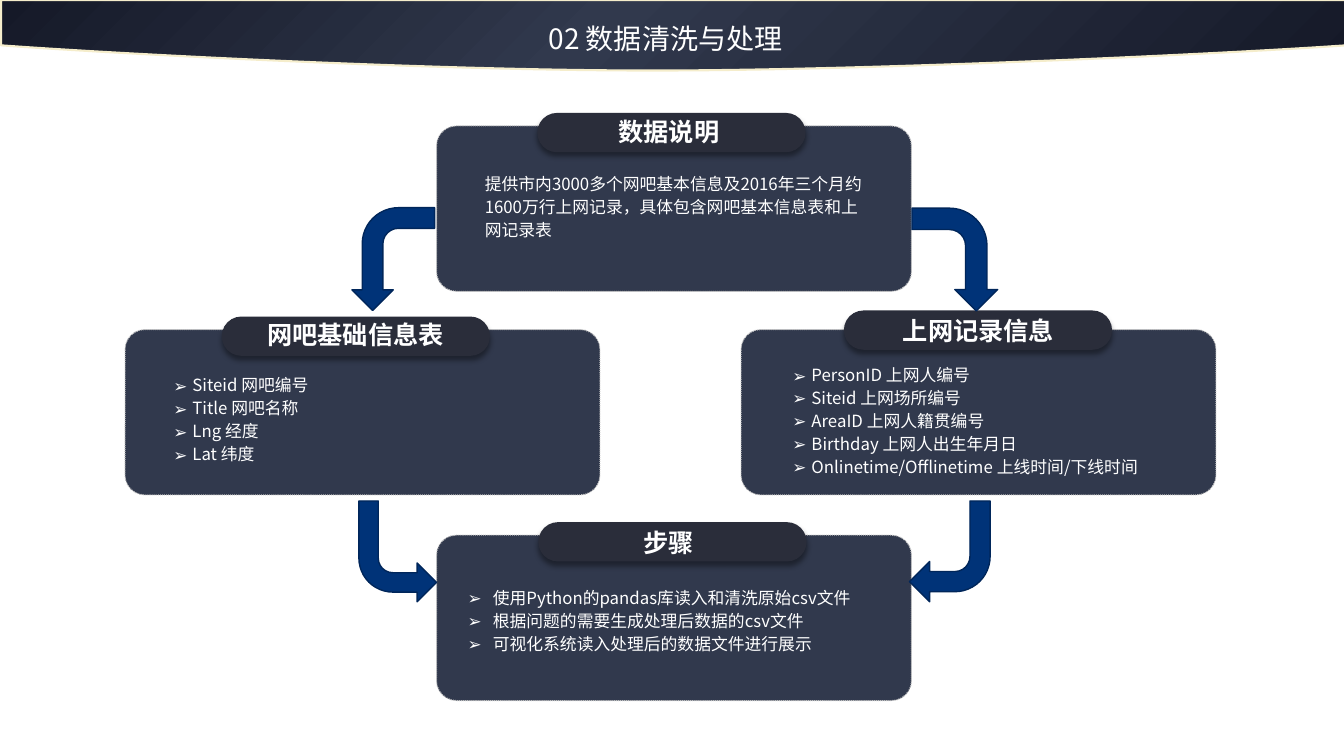
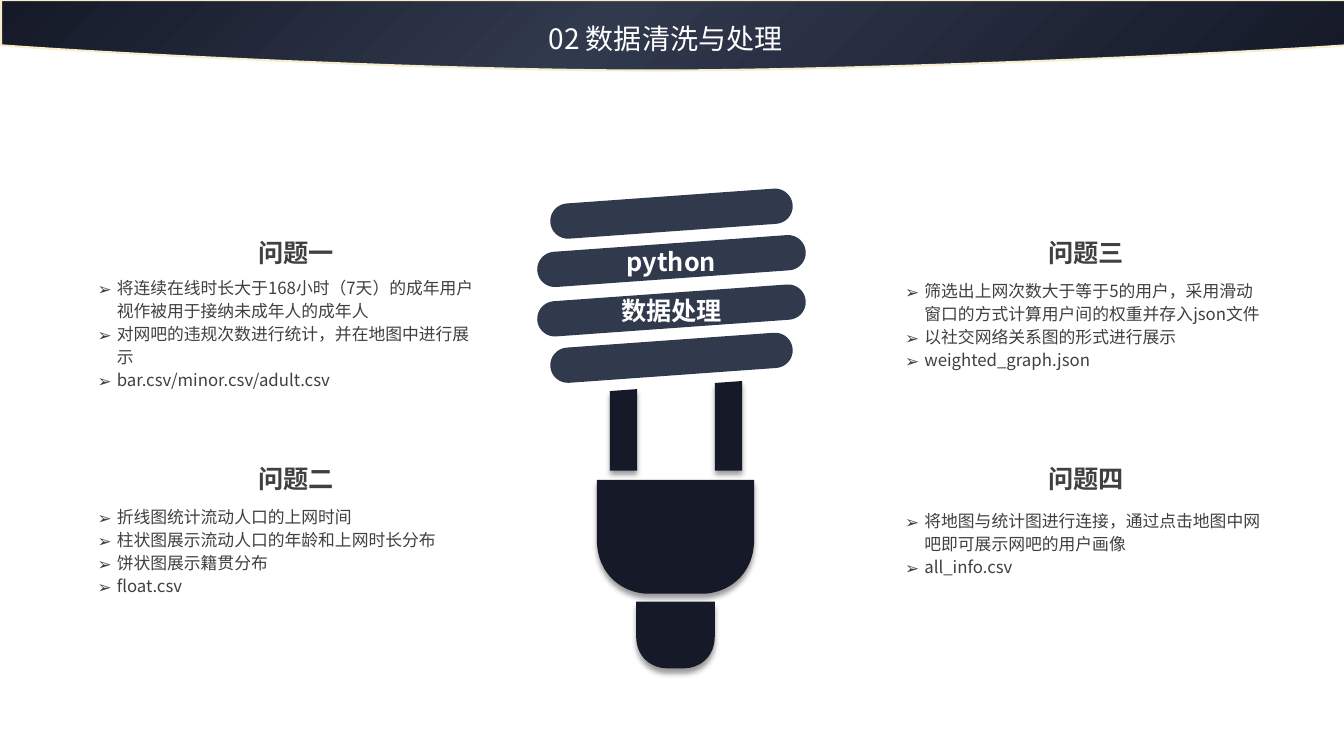
"""Build two slides on data cleaning: a table flow and a lamp of four questions."""
from copy import deepcopy
from dataclasses import dataclass
from math import cos, radians, sin

from lxml.etree import SubElement
from pptx import Presentation
from pptx.dml.color import RGBColor
from pptx.enum.dml import MSO_LINE
from pptx.enum.shapes import MSO_SHAPE
from pptx.enum.text import MSO_ANCHOR, MSO_AUTO_SIZE, PP_ALIGN
from pptx.oxml.ns import qn
from pptx.util import Pt

EMU_PER_PX = 9144
TITLE_ONLY = 5
ROUNDED = MSO_SHAPE.ROUNDED_RECTANGLE
BENT_ARROW = MSO_SHAPE.BENT_ARROW
DOTTED = MSO_LINE.ROUND_DOT
LEFT, CENTER = PP_ALIGN.LEFT, PP_ALIGN.CENTER
TOP, MIDDLE = MSO_ANCHOR.TOP, MSO_ANCHOR.MIDDLE
NO_FIT = MSO_AUTO_SIZE.NONE


@dataclass(frozen=True)
class Theme:
    """Colours, font and type sizes of both slides."""
    font: str = "Noto Sans CJK SC"
    title_size: int = 20
    heading_size: int = 18
    body_size: int = 12
    line_spacing: float = 1.14
    white: str = "FFFFFF"
    ink: str = "404040"
    night: str = "151928"
    slate: str = "31394D"
    pill: str = "2A2D3A"
    card_line: str = "BFBFBF"
    band_line: str = "F5EDCB"
    arrow: str = "003378"
    arrow_line: str = "00265A"


THEME = Theme()
SLIDE_TITLE = "02 数据清洗与处理"

CARDS = [
    ((433, 125), (100, -13), (118, -14), (38, 40, 395, 3), 0, "数据说明",
     ["提供市内3000多个网吧基本信息及2016年三个月约1600万行上网记录，具体包含网吧基本信息表和上网记录表"]),
    ((124, 327), (96, -13), (116, -15), (38, 37, 395, 4), 19, "网吧基础信息表",
     ["Siteid 网吧编号", "Title 网吧名称", "Lng 经度", "Lat 纬度"]),
    ((433, 531), (101, -13), (118, -13), (21, 44, 427, 3), 25, "步骤",
     ["使用Python的pandas库读入和清洗原始csv文件", "根据问题的需要生成处理后数据的csv文件",
      "可视化系统读入处理后的数据文件进行展示"]),
    ((735, 327), (102, -19), (123, -19), (41, 27, 395, 5), 19, "上网记录信息",
     ["PersonID 上网人编号", "Siteid 上网场所编号", "AreaID 上网人籍贯编号",
      "Birthday 上网人出生年月日", "Onlinetime/Offlinetime 上线时间/下线时间"]),
]
ARROWS = [
    ((896, 215, 102, 85), 90, None),
    ((339, 216, 102, 82), 90, "flipV"),
    ((356, 497, 77, 100), 180, "flipH"),
    ((902, 497, 80, 100), 180, None),
]
TOPICS = [
    ((87, 231), 90, (37, 396, 5), "问题一",
     ["将连续在线时长大于168小时（7天）的成年用户视作被用于接纳未成年人的成年人",
      "对网吧的违规次数进行统计，并在地图中进行展示", "bar.csv/minor.csv/adult.csv"]),
    ((87, 455), 90, (40, 374, 4), "问题二",
     ["折线图统计流动人口的上网时间", "柱状图展示流动人口的年龄和上网时长分布",
      "饼状图展示籍贯分布", "float.csv"]),
    ((888, 231), 73, (40, 378, 4), "问题三",
     ["筛选出上网次数大于等于5的用户，采用滑动窗口的方式计算用户间的权重并存入json文件",
      "以社交网络关系图的形式进行展示", "weighted_graph.json"]),
    ((888, 455), 73, (44, 374, 3), "问题四",
     ["将地图与统计图进行连接，通过点击地图中网吧即可展示网吧的用户画像", "all_info.csv"]),
]
LAMP_BARS = [(241, 25, ""), (267, 72, "python"), (267, 121, "数据处理"), (241, 168, "")]


def px(*lengths):
    """Turn px into a list of EMU."""
    return [round(length * EMU_PER_PX) for length in lengths]


def color(code):
    """Return the colour of a hex code."""
    return RGBColor.from_string(code)


def paint(shape, fill, line=None, width=1.0):
    """Give a shape a flat fill and a line, without a shadow."""
    shape.shadow.inherit = False
    shape.fill.solid()
    shape.fill.fore_color.rgb = color(fill)
    if line is None:
        shape.line.fill.background()
    else:
        shape.line.color.rgb = color(line)
        shape.line.width = Pt(width)
    return shape


def drop_shadow(shape):
    """Add a soft shadow below a painted shape."""
    effects = shape.element.spPr.find(qn("a:effectLst"))
    outer = SubElement(effects, qn("a:outerShdw"), blurRad=str(Pt(4)),
                       dist=str(Pt(3)), dir="5400000", algn="t", rotWithShape="0")
    black = SubElement(outer, qn("a:srgbClr"), val="000000")
    SubElement(black, qn("a:alpha"), val="40000")


def format_paragraph(paragraph, size, code, bold=False, align=LEFT):
    """Set the font and alignment of a paragraph, East Asian font included."""
    paragraph.alignment = align
    font = paragraph.font
    font.size, font.bold, font.name = Pt(size), bold, THEME.font
    font.color.rgb = color(code)
    defaults = paragraph._p.pPr.find(qn("a:defRPr"))
    SubElement(defaults, qn("a:ea"), typeface=THEME.font)


def add_bullet(paragraph, indent):
    """Give a formatted paragraph an arrow bullet and a hanging indent."""
    properties = paragraph._p.pPr
    hang = px(indent)[0]
    properties.set("marL", str(hang))
    properties.set("indent", str(-hang))
    defaults = properties.find(qn("a:defRPr"))
    defaults.addprevious(SubElement(properties, qn("a:buFont"), typeface=THEME.font))
    defaults.addprevious(SubElement(properties, qn("a:buChar"), char="➢"))


def add_body(slide, left, top, width, rows, lines, code, indent):
    """Place body lines in a text box, bulleted where there is an indent."""
    box = slide.shapes.add_textbox(*px(left, top, width, 10 + 23 * rows))
    frame = box.text_frame
    frame.word_wrap = True
    frame.text = "\n".join(lines)
    for paragraph in frame.paragraphs:
        format_paragraph(paragraph, THEME.body_size, code)
        paragraph.line_spacing = THEME.line_spacing
        if indent:
            add_bullet(paragraph, indent)


def write_heading(shape, text, code, anchor=TOP):
    """Centre a bold heading in a shape."""
    frame = shape.text_frame
    frame.word_wrap = True
    frame.vertical_anchor = anchor
    frame.text = text
    format_paragraph(frame.paragraphs[0], THEME.heading_size, code, True, CENTER)


def add_outline(slide, *contours):
    """Draw closed contours of px segments: one point a line, three a curve."""
    starts = [px(*contour[0][0]) for contour in contours]
    builder = slide.shapes.build_freeform(*starts[0], scale=1.0)
    for index, contour in enumerate(contours):
        if index:
            builder.move_to(*starts[index])
        points = [px(*point) for segment in contour[1:] for point in segment]
        builder.add_line_segments(points, close=True)
    shape = builder.convert_to_shape()
    lines = iter(list(shape.element.spPr.iter(qn("a:lnTo"))))
    for segment in (segment for contour in contours for segment in contour[1:]):
        line = next(lines)
        if len(segment) == 3:
            line.tag = qn("a:cubicBezTo")
            for _ in range(2):
                control = next(lines)
                line.append(control[0])
                control.getparent().remove(control)
    return shape


def add_band(slide):
    """Draw the curved gradient band along the top."""
    contour = [[(1, 0)], [(1335, 0)], [(1335, 45)],
               [(1221, 53), (870, 70), (647, 70)],
               [(425, 70), (110, 53), (1, 45)]]
    band = paint(add_outline(slide, contour), THEME.night, THEME.band_line, 1.5)
    band.fill.gradient()
    band.fill.gradient_angle = 315
    first = band.element.spPr.find(".//" + qn("a:gs"))
    first.addnext(deepcopy(first))
    stops = zip(band.fill.gradient_stops, (0, 0.44, 1),
                (THEME.night, THEME.slate, THEME.night))
    for stop, position, code in stops:
        stop.position = position
        stop.color.rgb = color(code)
    return band


def add_titled_slide(presentation):
    """Add a slide with the band and its title."""
    slide = presentation.slides.add_slide(presentation.slide_layouts[TITLE_ONLY])
    title = slide.shapes.title
    title.left, title.top, title.width, title.height = px(534, 16, 265, 44)
    frame = title.text_frame
    frame.text = SLIDE_TITLE
    frame.auto_size = NO_FIT
    frame.vertical_anchor = TOP
    format_paragraph(frame.paragraphs[0], THEME.title_size, THEME.white)
    title.element.addprevious(add_band(slide).element)
    return slide


def add_card(slide, corner, pill_offset, heading_offset, body, indent, heading, lines):
    """Draw a card with a pill heading and body text, relative to its corner."""
    left, top = corner
    card = paint(slide.shapes.add_shape(ROUNDED, *px(left, top, 471, 164)),
                 THEME.slate, THEME.card_line, 0.75)
    card.adjustments[0] = 0.12
    card.line.dash_style = DOTTED
    pill_box = px(left + pill_offset[0], top + pill_offset[1], 266, 39)
    pill = paint(slide.shapes.add_shape(ROUNDED, *pill_box), THEME.pill)
    pill.adjustments[0] = 0.5
    drop_shadow(pill)
    heading_box = px(left + heading_offset[0], top + heading_offset[1], 225, 40)
    write_heading(slide.shapes.add_textbox(*heading_box), heading, THEME.white)
    body_left, body_top, width, rows = body
    add_body(slide, left + body_left, top + body_top, width, rows,
             lines, THEME.white, indent)


def add_bent_arrow(slide, box, rotation, flip):
    """Draw a bent arrow, turned and mirrored."""
    arrow = paint(slide.shapes.add_shape(BENT_ARROW, *px(*box)),
                  THEME.arrow, THEME.arrow_line)
    arrow.rotation = rotation
    if flip:
        arrow.element.spPr.xfrm.set(flip, "1")


def add_lamp_bar(slide, center, length, text, thickness=35, tilt=-4.1):
    """Draw a tilted round-ended bar with level text."""
    radius, slope = thickness / 2, radians(tilt)
    reach, pull = length / 2 - radius, 0.55 * radius

    def turn(x, y):
        """Turn a point of the level bar about its centre."""
        return (center[0] + x * cos(slope) - y * sin(slope),
                center[1] + x * sin(slope) + y * cos(slope))

    contour = [[turn(-reach, -radius)]]
    for side in (1, -1):
        edge, tip = side * reach, side * (reach + radius)
        rise, bend = side * radius, side * pull
        contour += [[turn(edge, -rise)],
                    [turn(edge + bend, -rise), turn(tip, -bend), turn(tip, 0)],
                    [turn(tip, bend), turn(edge + bend, rise), turn(edge, rise)]]
    bar = paint(add_outline(slide, contour), THEME.slate)
    if text:
        write_heading(bar, text, THEME.white, MIDDLE)


def leg_contour(left, top, bottom):
    """Return a lamp leg with a slanted top."""
    right = left + 27
    return [[(right, top)], [(left, top + 2)], [(left, bottom)], [(right, bottom)]]


def cup_contour(left, top, width, height, straight, inset):
    """Return a cup with a flat top and rounded lower corners."""
    right, bottom, shoulder = left + width, top + height, top + straight
    low, pull = shoulder + 0.7 * (height - straight), 0.57 * inset
    return [[(left, top)], [(left, shoulder)],
            [(left, low), (left + pull, bottom), (left + inset, bottom)],
            [(right - inset, bottom)],
            [(right - pull, bottom), (right, low), (right, shoulder)],
            [(right, top)]]


def add_lamp(slide, left, top):
    """Draw the lamp: four tilted bars above a base of legs, socket and tip."""
    for length, middle, text in LAMP_BARS:
        add_lamp_bar(slide, (left + 133, top + middle), length, text)
    base = add_outline(
        slide,
        leg_contour(left + 176, top + 191, top + 280),
        leg_contour(left + 72, top + 199, top + 280),
        cup_contour(left + 59, top + 289, 156, 113, 59, 51),
        cup_contour(left + 98, top + 410, 78, 66, 34, 30))
    drop_shadow(paint(base, THEME.night))


def add_topic(slide, corner, heading_left, body, heading, lines):
    """Place a question heading and its bullets, relative to its corner."""
    left, top = corner
    box = slide.shapes.add_textbox(*px(left + heading_left, top, 233, 40))
    write_heading(box, heading, THEME.ink)
    body_top, width, rows = body
    add_body(slide, left, top + body_top, width, rows, lines, THEME.ink, 19)


def main():
    """Build and save the presentation."""
    presentation = Presentation()
    presentation.slide_width, presentation.slide_height = px(1333, 750)
    flow = add_titled_slide(presentation)
    for card in CARDS:
        add_card(flow, *card)
    for arrow in ARROWS:
        add_bent_arrow(flow, *arrow)
    questions = add_titled_slide(presentation)
    add_lamp(questions, 533, 187)
    for topic in TOPICS:
        add_topic(questions, *topic)
    presentation.save("out.pptx")


if __name__ == "__main__":
    main()
